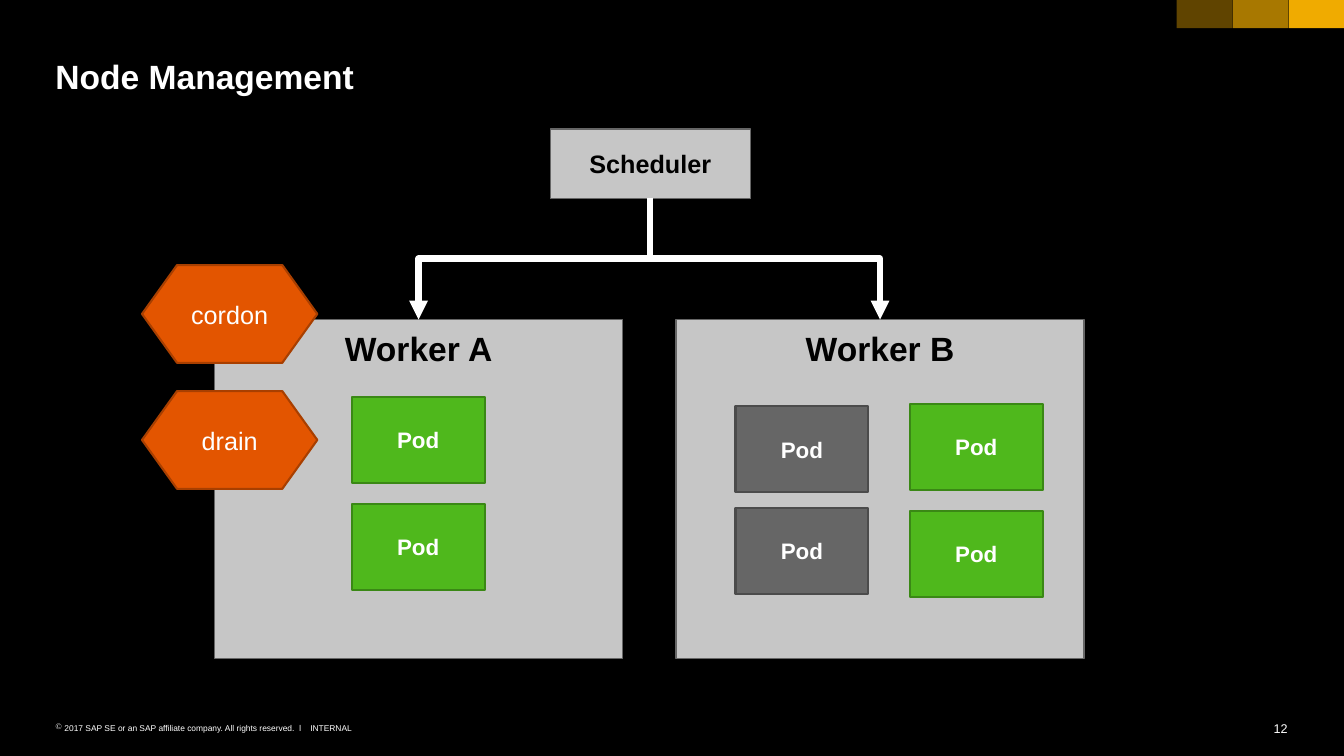
"""Builds the Node Management slide: a scheduler, two workers and their pods."""
from lxml.etree import SubElement
from pptx import Presentation
from pptx.dml.color import RGBColor
from pptx.enum.shapes import MSO_CONNECTOR, MSO_SHAPE
from pptx.enum.text import MSO_ANCHOR, PP_ALIGN
from pptx.oxml.ns import qn
from pptx.util import Inches, Pt

BLACK, WHITE, GOLD = "000000", "FFFFFF", "F0AB00"
NODE = dict(fill="C6C6C6", line="666666", weight=0.79)
GREEN_POD = dict(fill="4FB81C", line="3A8815")
GREY_POD = dict(fill="666666", line="4B4B4B")
COMMAND = dict(fill="E35500", line="A83F00", kind=MSO_SHAPE.FLOWCHART_PREPARATION)


def color(hex_code):
    """Return the colour for a hex string."""
    return RGBColor.from_string(hex_code)


def write(frame, text, size, ink=WHITE, bold=False, align=PP_ALIGN.LEFT,
          anchor=MSO_ANCHOR.TOP, margins=(0, 0), wrap=True, bullet=None):
    """Put one formatted paragraph in a text frame."""
    frame.word_wrap = wrap
    frame.vertical_anchor = anchor
    frame.margin_left = frame.margin_right = Inches(margins[0])
    frame.margin_top = frame.margin_bottom = Inches(margins[1])
    paragraph = frame.paragraphs[0]
    paragraph.text = text
    paragraph.alignment = align
    paragraph.space_before = Pt(0)
    if bullet:
        properties = paragraph._p.get_or_add_pPr()
        properties.set("marL", str(Inches(0.09)))
        properties.set("indent", str(Inches(-0.09)))
        SubElement(properties, qn("a:buChar")).set("char", bullet)
    font = paragraph.font
    font.name, font.size, font.bold = "Arial", Pt(size), bold
    font.color.rgb = color(ink)


def add_label(slide, box, text, size, **format):
    """Add a text box without margins."""
    label = slide.shapes.add_textbox(*map(Inches, box))
    write(label.text_frame, text, size, **format)


def add_box(slide, box, fill, line=None, weight=1.5, kind=MSO_SHAPE.RECTANGLE):
    """Add a filled shape, outlined if a line colour is given."""
    shape = slide.shapes.add_shape(kind, *map(Inches, box))
    shape.shadow.inherit = False
    shape.fill.solid()
    shape.fill.fore_color.rgb = color(fill)
    if line:
        shape.line.color.rgb = color(line)
        shape.line.width = Pt(weight)
    else:
        shape.line.fill.background()
    return shape


def add_block(slide, box, text, size, style, ink=WHITE, bold=True, anchor=MSO_ANCHOR.MIDDLE):
    """Add a shape with a centred caption."""
    block = add_box(slide, box, **style)
    write(block.text_frame, text, size, ink=ink, bold=bold, align=PP_ALIGN.CENTER,
          anchor=anchor, margins=(0.1, 0.08))


def add_branch(slide, start, end):
    """Add an elbow arrow that leaves downwards and arrives downwards."""
    (x1, y1), (x2, y2) = start, end
    middle_x, middle_y = (x1 + x2) / 2, (y1 + y2) / 2
    side = 1 if x2 > x1 else -1
    half_drop, half_span = side * (y2 - y1) / 2, abs(x2 - x1) / 2
    branch = slide.shapes.add_connector(
        MSO_CONNECTOR.ELBOW,
        Inches(middle_x + half_drop), Inches(middle_y - half_span),
        Inches(middle_x - half_drop), Inches(middle_y + half_span))
    properties = branch._element.spPr
    properties.find(qn("a:xfrm")).set("rot", str((270 if side > 0 else 90) * 60000))
    branch.line.color.rgb = color(WHITE)
    branch.line.width = Pt(4.5)
    SubElement(branch.line._get_or_add_ln(), qn("a:tailEnd")).set("type", "triangle")
    SubElement(properties, qn("a:effectLst"))


def add_frame(slide):
    """Add the corner bars, the title and the footer."""
    for index, opacity in enumerate((40, 70, 100)):
        bar = add_box(slide, (11.68 + index * 0.555, 0, 0.55, 0.28), GOLD)
        if opacity < 100:
            tint = bar._element.spPr.find(qn("a:solidFill"))[0]
            SubElement(tint, qn("a:alpha")).set("val", str(opacity * 1000))
    title = slide.shapes.title
    title.left, title.top, title.width, title.height = map(Inches, (0.55, 0.55, 12.23, 0.4))
    write(title.text_frame, "Node Management", 24, bold=True)
    add_label(slide, (0.55, 7.17, 2.48, 0.1),
              "2017 SAP SE or an SAP affiliate company. All rights reserved.  ǀ", 6, bullet="©")
    add_label(slide, (3.08, 7.17, 0.42, 0.1), "INTERNAL", 6, wrap=False)
    add_label(slide, (12.63, 7.15, 0.15, 0.15), "12", 9, align=PP_ALIGN.RIGHT, wrap=False)


def main():
    """Build and save the slide."""
    deck = Presentation()
    deck.slide_width, deck.slide_height = Inches(13.34), Inches(7.5)
    slide = deck.slides.add_slide(deck.slide_layouts[5])
    slide.background.fill.solid()
    slide.background.fill.fore_color.rgb = color(BLACK)
    add_frame(slide)

    worker_top, worker_width = 3.17, 4.05
    workers = {"Worker A": 2.13, "Worker B": 6.71}
    for name, left in workers.items():
        add_block(slide, (left, worker_top, worker_width, 3.36), name, 24, NODE,
                  ink=BLACK, anchor=MSO_ANCHOR.TOP)
    pod_columns = [(3.49, (3.94, 5), GREEN_POD), (7.3, (4.03, 5.04), GREY_POD),
                   (9.03, (4.01, 5.07), GREEN_POD)]
    for left, tops, style in pod_columns:
        for top in tops:
            add_block(slide, (left, top, 1.32, 0.85), "Pod", 16, style)
    for command, top in (("cordon", 2.63), ("drain", 3.88)):
        add_block(slide, (1.41, top, 1.74, 0.97), command, 18, COMMAND, bold=False)

    add_block(slide, (5.46, 1.28, 1.99, 0.69), "Scheduler", 18, NODE, ink=BLACK)
    for left in workers.values():
        add_branch(slide, (6.45, 1.96), (left + worker_width / 2, worker_top))
    deck.save("out.pptx")


if __name__ == "__main__":
    main()
